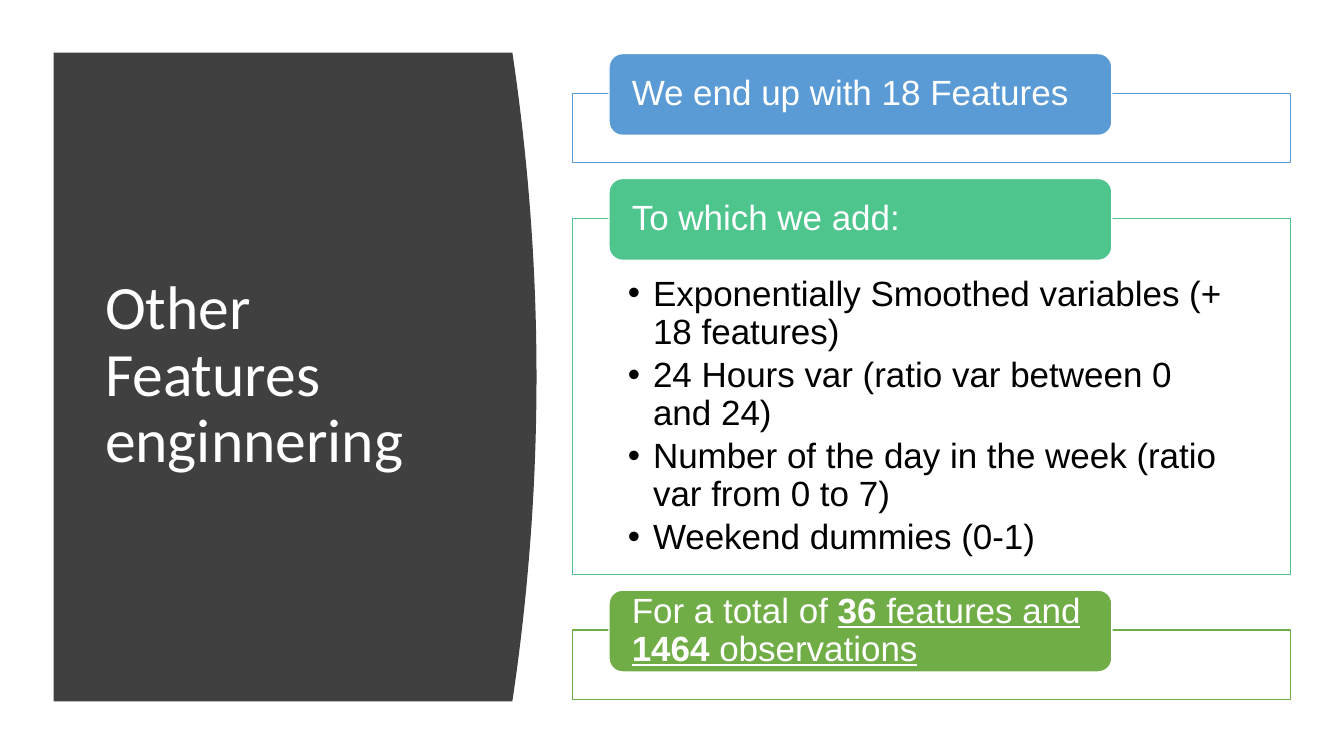
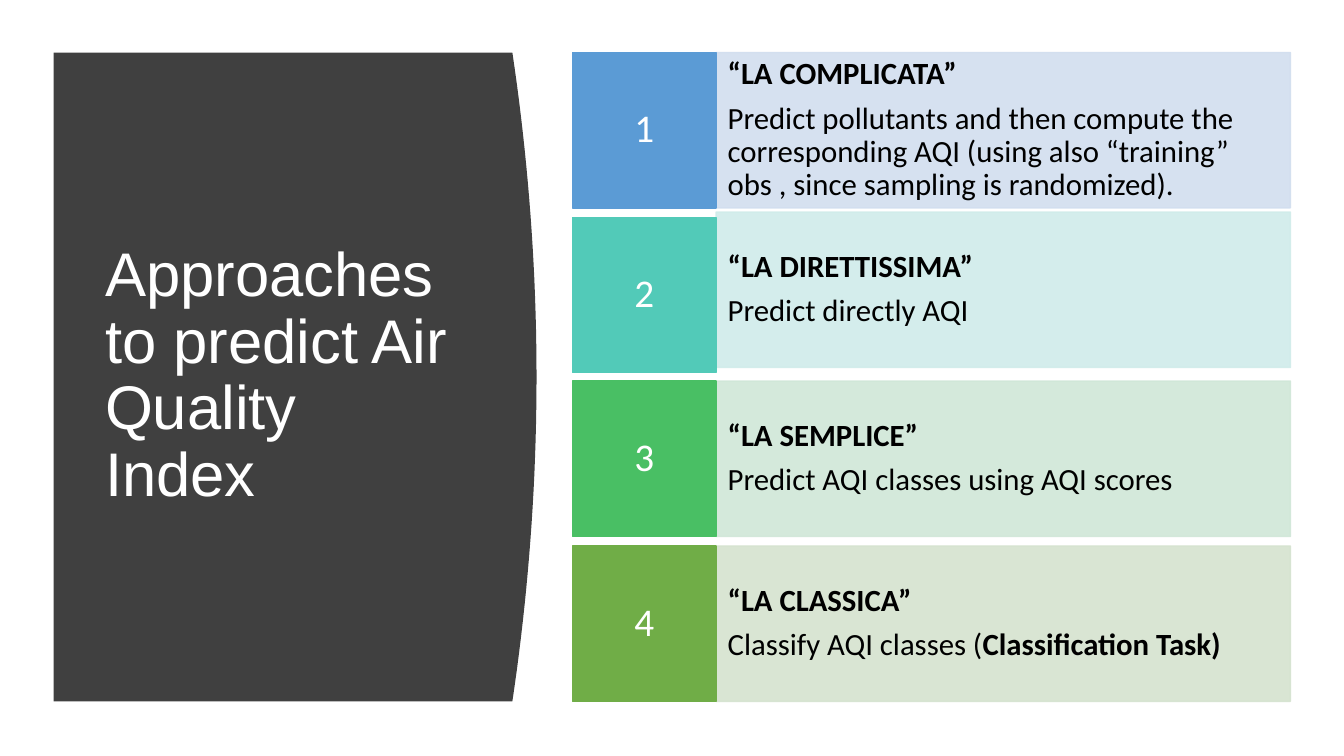
from pptx import Presentation
from pptx.dml.color import RGBColor
from pptx.enum.shapes import MSO_SHAPE
from pptx.enum.text import MSO_ANCHOR, MSO_AUTO_SIZE, PP_ALIGN
from pptx.oxml.ns import qn
from pptx.util import Pt
from lxml import etree

PX = 9525
RECT, ROUNDED = MSO_SHAPE.RECTANGLE, MSO_SHAPE.ROUNDED_RECTANGLE
TOP, MIDDLE = MSO_ANCHOR.TOP, MSO_ANCHOR.MIDDLE
LEFT, CENTER = PP_ALIGN.LEFT, PP_ALIGN.CENTER
TITLE_ONLY = 5

COLORS = {
    "white": "FFFFFF", "black": "000000", "panel": "404040",
    "blue": "5B9BD5", "mint": "4DC58D", "olive": "70AD47",
    "teal": "52CAB8", "green": "49BF64",
    "pale blue": "D2DEEF", "pale teal": "D0ECEA",
    "pale green": "D0E7D8", "pale olive": "D5E3CF",
}

PANEL = {"left": 51, "top": 50, "corner": 488, "bottom": 668, "bulge": 23, "steps": 40}
TITLE_AREA = (90, 107, 359, 503)
CONTENT_LEFT, CONTENT_WIDTH = 545, 684

FEATURES_TITLE = ("Other Features enginnering", "Calibri")
FEATURE_CARDS = [
    ("blue", 66, [("We end up with 18 Features", "")], []),
    ("mint", 339, [("To which we add:", "")], [
        [("Exponentially Smoothed variables (+ 18 features)", "")],
        [("24 Hours var (ratio var between 0 and 24)", "")],
        [("Number of the day in the week (ratio var from 0 to 7)", "")],
        [("Weekend dummies (0-1)", "")],
    ]),
    ("olive", 66, [
        ("For a total of ", ""), ("36 ", "bold underline"), ("features and", "underline"),
        (" 1464", "bold underline"), (" observations", "underline"),
    ], []),
]
CARD_TOP, CARD_GAP = 51, 15
HEADER_LEFT, HEADER_WIDTH, HEADER_HEIGHT, HEADER_RISE = 580, 479, 78, 38

APPROACHES_TITLE = ("Approaches to predict Air Quality Index", "Arial")
APPROACHES = [
    ("blue", "pale blue", 0, "“LA COMPLICATA”",
     [("Predict pollutants and then compute the corresponding AQI "
       "(using also “training” obs , since sampling is randomized).", "")]),
    ("teal", "pale teal", -5, "“LA DIRETTISSIMA”", [("Predict directly AQI", "")]),
    ("green", "pale green", 0, "“LA SEMPLICE”",
     [("Predict AQI classes using AQI scores", "")]),
    ("olive", "pale olive", 0, "“LA CLASSICA”",
     [("Classify AQI classes (", ""), ("Classification Task)", "bold")]),
]
ROW_HEIGHT, NUMBER_WIDTH = 148, 137


def rgb(name):
    return RGBColor.from_string(COLORS[name])


def add_box(page, kind, area, fill, line):
    box = page.shapes.add_shape(kind, *(value * PX for value in area))
    box.shadow.inherit = False
    box.fill.solid()
    box.fill.fore_color.rgb = rgb(fill)
    box.line.color.rgb = rgb(line)
    box.line.width = Pt(1)
    return box


def make_translucent(box, percent):
    for color in box.element.spPr.iter(qn("a:srgbClr")):
        etree.SubElement(color, qn("a:alpha")).set("val", str(percent * 1000))


def add_bullet(para, indent):
    props = para._p.get_or_add_pPr()
    props.set("marL", str(indent * PX))
    props.set("indent", str(-indent * PX))
    etree.SubElement(props, qn("a:buFont")).set("typeface", "Arial")
    etree.SubElement(props, qn("a:buChar")).set("char", "•")


def write(box, paragraphs, size, font, color, insets, anchor=MIDDLE,
          align=LEFT, after=0, bulleted=False):
    frame = box.text_frame
    frame.word_wrap = True
    frame.auto_size = MSO_AUTO_SIZE.NONE
    frame.vertical_anchor = anchor
    (frame.margin_left, frame.margin_top,
     frame.margin_right, frame.margin_bottom) = (value * PX for value in insets)
    for index, spans in enumerate(paragraphs):
        para = frame.add_paragraph() if index else frame.paragraphs[0]
        if bulleted:
            add_bullet(para, 24)
        para.alignment = align
        para.line_spacing = 0.9
        para.space_before = Pt(0)
        para.space_after = Pt(after)
        for text, style in spans:
            span = para.add_run()
            span.text = text
            span.font.size = Pt(size)
            span.font.name = font
            span.font.color.rgb = rgb(color)
            span.font.bold = "bold" in style
            span.font.underline = "underline" in style


def add_page(deck, title, font):
    page = deck.slides.add_slide(deck.slide_layouts[TITLE_ONLY])
    top, bottom, steps = PANEL["top"], PANEL["bottom"], PANEL["steps"]
    curve = []
    for step in range(steps + 1):
        part = step / steps
        x = PANEL["corner"] + PANEL["bulge"] * 4 * part * (1 - part)
        curve.append((round(x * PX), round((top + (bottom - top) * part) * PX)))
    outline = page.shapes.build_freeform(PANEL["left"] * PX, top * PX, scale=1)
    outline.add_line_segments(curve + [(PANEL["left"] * PX, bottom * PX)], close=True)
    panel = outline.convert_to_shape()
    panel.shadow.inherit = False
    panel.fill.solid()
    panel.fill.fore_color.rgb = rgb("panel")
    panel.line.fill.background()

    heading = page.shapes.title
    heading.left, heading.top, heading.width, heading.height = (
        value * PX for value in TITLE_AREA)
    write(heading, [[(title, "")]], 44, font, "white", (10, 5, 10, 5))
    page.shapes._spTree.append(heading.element)
    return page


def build_features(deck):
    page = add_page(deck, *FEATURES_TITLE)
    top = CARD_TOP
    for color, height, header, bullets in FEATURE_CARDS:
        frame_top = top + HEADER_RISE
        card = add_box(page, RECT, (CONTENT_LEFT, frame_top, CONTENT_WIDTH, height),
                       "white", color)
        if bullets:
            write(card, bullets, 25, "Arial", "black", (53, 55, 53, 18),
                  anchor=TOP, after=4, bulleted=True)
        label = add_box(page, ROUNDED, (HEADER_LEFT, top, HEADER_WIDTH, HEADER_HEIGHT),
                        color, "white")
        write(label, [header], 25, "Arial", "white", (18, 0, 18, 0))
        top = frame_top + height + CARD_GAP


def build_approaches(deck):
    page = add_page(deck, *APPROACHES_TITLE)
    pitch = (PANEL["bottom"] - PANEL["top"] - ROW_HEIGHT) / (len(APPROACHES) - 1)
    for index, (color, pale, shift, name, summary) in enumerate(APPROACHES):
        top = round(PANEL["top"] + index * pitch)
        detail = add_box(page, RECT, (CONTENT_LEFT + NUMBER_WIDTH, top + shift,
                                      CONTENT_WIDTH - NUMBER_WIDTH, ROW_HEIGHT), pale, pale)
        make_translucent(detail, 90)
        write(detail, [[(name, "bold")], summary], 22, "Calibri", "black",
              (11, 0, 11, 0), after=8)
        number = add_box(page, RECT, (CONTENT_LEFT, top, NUMBER_WIDTH, ROW_HEIGHT),
                         color, color)
        write(number, [[(str(index + 1), "")]], 28, "Calibri", "white",
              (8, 14, 8, 14), align=CENTER)


def main():
    deck = Presentation()
    deck.slide_width, deck.slide_height = 1280 * PX, 720 * PX
    build_features(deck)
    build_approaches(deck)
    deck.save("out.pptx")


if __name__ == "__main__":
    main()
